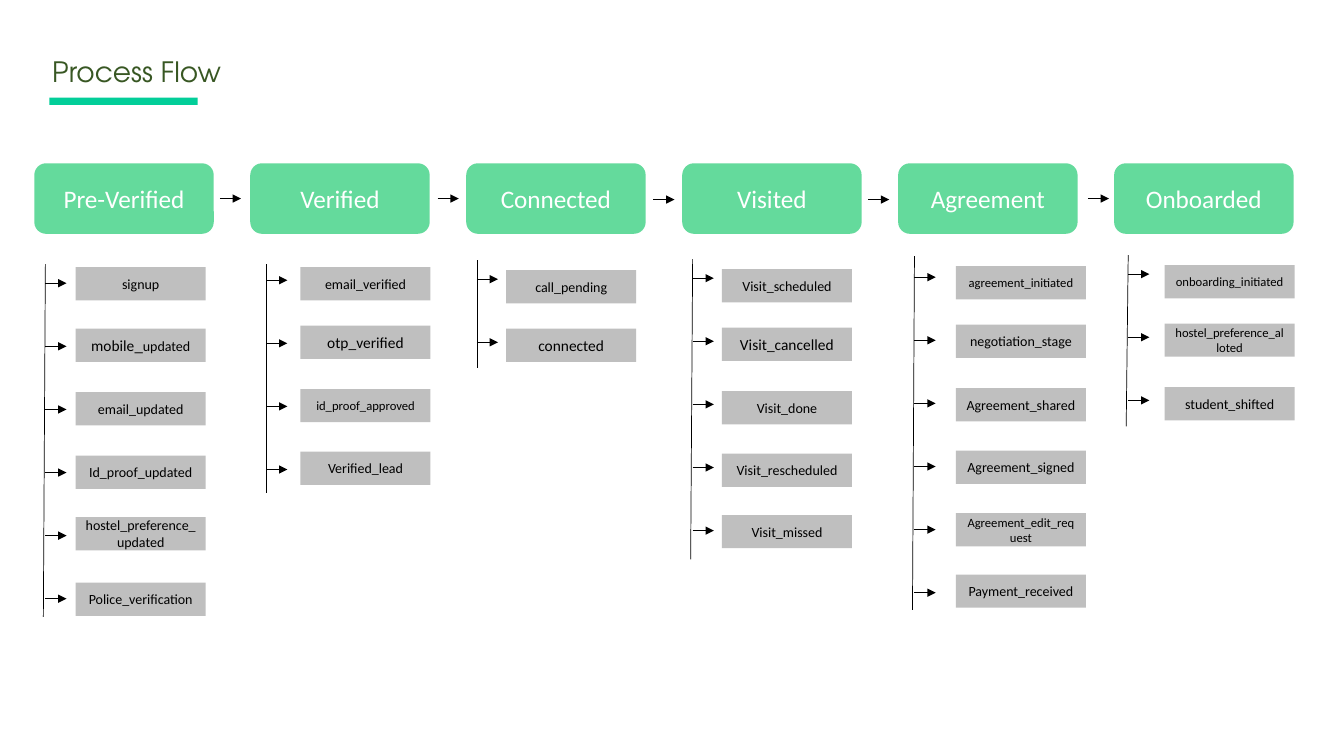
from lxml.etree import SubElement
from pptx import Presentation
from pptx.dml.color import RGBColor
from pptx.enum.shapes import MSO_CONNECTOR as Connector, MSO_SHAPE as Preset
from pptx.enum.text import MSO_ANCHOR as Anchor, PP_ALIGN as Align
from pptx.oxml.ns import qn
from pptx.util import Inches, Pt


def color(value):
    """Turn a hex string into a colour."""
    return RGBColor.from_string(value)


class FlowSlide:
    """Hold the style and the slide that is being drawn."""

    GREEN, ACCENT, GRAY = "64DA9C", "02CE99", "BFBFBF"
    WHITE, BLACK, TITLE = "FFFFFF", "000000", "385723"
    BODY_FONT, TITLE_FONT = "Calibri", "TeX Gyre Adventor"

    def __init__(self, deck):
        """Add a blank slide to the deck."""
        self.slide = deck.slides.add_slide(deck.slide_layouts[6])

    def style(self, run, size, ink, face):
        """Set the font of a run."""
        run.font.size = Pt(size)
        run.font.name = face
        run.font.color.rgb = color(ink)

    def title(self, text, left, top, width, height):
        """Add the slide title."""
        frame = self.slide.shapes.add_textbox(
            Inches(left), Inches(top), Inches(width), Inches(height)).text_frame
        frame.word_wrap = True
        frame.text = text
        heading = frame.paragraphs[0]
        heading.line_spacing = 0.9
        self.style(heading.runs[0], 20, self.TITLE, self.TITLE_FONT)

    def box(self, preset, left, top, width, height, fill, ink=BLACK, parts=()):
        """Add a filled shape with centred text given as (text, size) parts."""
        shape = self.slide.shapes.add_shape(
            preset, Inches(left), Inches(top), Inches(width), Inches(height))
        shape.shadow.inherit = False
        shape.fill.solid()
        shape.fill.fore_color.rgb = color(fill)
        shape.line.fill.background()
        frame = shape.text_frame
        frame.word_wrap = True
        frame.vertical_anchor = Anchor.MIDDLE
        label = frame.paragraphs[0]
        label.alignment = Align.CENTER
        for text, size in parts:
            run = label.add_run()
            run.text = text
            self.style(run, size, ink, self.BODY_FONT)

    def line(self, x1, y1, x2, y2):
        """Add a thin black line."""
        connector = self.slide.shapes.add_connector(
            Connector.STRAIGHT, Inches(x1), Inches(y1), Inches(x2), Inches(y2))
        connector.line.width = Pt(0.5)
        connector.line.color.rgb = color(self.BLACK)
        SubElement(connector._element.spPr, qn("a:effectLst"))
        return connector

    def arrow(self, x, y, length=0.21):
        """Add a short arrow that points right."""
        outline = self.line(x, y, x + length, y).line._get_or_add_ln()
        SubElement(outline, qn("a:tailEnd"), type="triangle")

    def stage(self, left, name):
        """Add the header of a stage."""
        self.box(Preset.ROUNDED_RECTANGLE, left, 1.62, 1.78, 0.7,
                 self.GREEN, self.WHITE, [(name, 18)])

    def branch(self, trunk, first_arrow, step_left, steps):
        """Add the trunk of a stage with an arrow and a box for each step."""
        self.line(*trunk)
        for row, (top, *parts) in enumerate(steps):
            self.arrow(trunk[0], first_arrow + row * ARROW_PITCH)
            self.box(Preset.RECTANGLE, step_left, top, 1.29, 0.33,
                     self.GRAY, parts=parts)


STAGE_LEFT, STAGE_PITCH = 0.34, 2.142
ARROW_PITCH = 0.626
STAGES = [
    ("Pre-Verified", (0.45, 2.62, 0.43, 6.12), 2.81, 0.75, [
        (2.65, ("signup", 10)),
        (3.26, ("mobile", 11), ("_", 12), ("updated", 10)),
        (3.89, ("email_updated", 10)),
        (4.52, ("Id_proof_updated", 10)),
        (5.13, ("hostel_preference_updated", 10)),
        (5.78, ("Police_verification", 10))]),
    ("Verified", (2.64, 2.62, 2.64, 4.89), 2.78, 2.98, [
        (2.65, ("email_verified", 10)),
        (3.23, ("otp_verified", 11)),
        (3.86, ("id_proof_approved", 9)),
        (4.48, ("Verified_lead", 10))]),
    ("Connected", (4.73, 2.58, 4.73, 3.65), 2.77, 5.02, [
        (2.68, ("call_pending", 10)),
        (3.26, ("connected", 11))]),
    ("Visited", (6.87, 2.57, 6.85, 5.55), 2.76, 7.16, [
        (2.67, ("Visit_scheduled", 10)),
        (3.25, ("Visit_cancelled", 11)),
        (3.88, ("Visit_done", 10)),
        (4.5, ("Visit_rescheduled", 10)),
        (5.11, ("Visit_missed", 10))]),
    ("Agreement", (9.07, 2.54, 9.05, 6.05), 2.75, 9.48, [
        (2.64, ("agreement_initiated", 9)),
        (3.22, ("negotiation_stage", 10)),
        (3.85, ("Agreement_shared", 10)),
        (4.47, ("Agreement_signed", 10)),
        (5.09, ("Agreement_edit_request", 9)),
        (5.7, ("Payment_received", 10))]),
    ("Onboarded", (11.19, 2.53, 11.17, 4.23), 2.72, 11.55, [
        (2.63, ("onboarding_initiated", 9)),
        (3.21, ("hostel_preference_alloted", 9)),
        (3.84, ("student_shifted", 10))]),
]
STAGE_ARROWS = [(2.18, 1.97), (4.34, 1.97), (6.48, 1.98), (8.61, 1.98), (10.79, 1.97)]

deck = Presentation()
deck.slide_width, deck.slide_height = Inches(13.33), Inches(7.5)
flow = FlowSlide(deck)
flow.title("Process Flow", 0.42, 0.53, 11.5, 0.95)
flow.box(Preset.RECTANGLE, 0.49, 0.97, 1.47, 0.07, flow.ACCENT)
for column, (name, *steps_layout) in enumerate(STAGES):
    flow.stage(STAGE_LEFT + column * STAGE_PITCH, name)
    flow.branch(*steps_layout)
for x, y in STAGE_ARROWS:
    flow.arrow(x, y)
deck.save("out.pptx")
